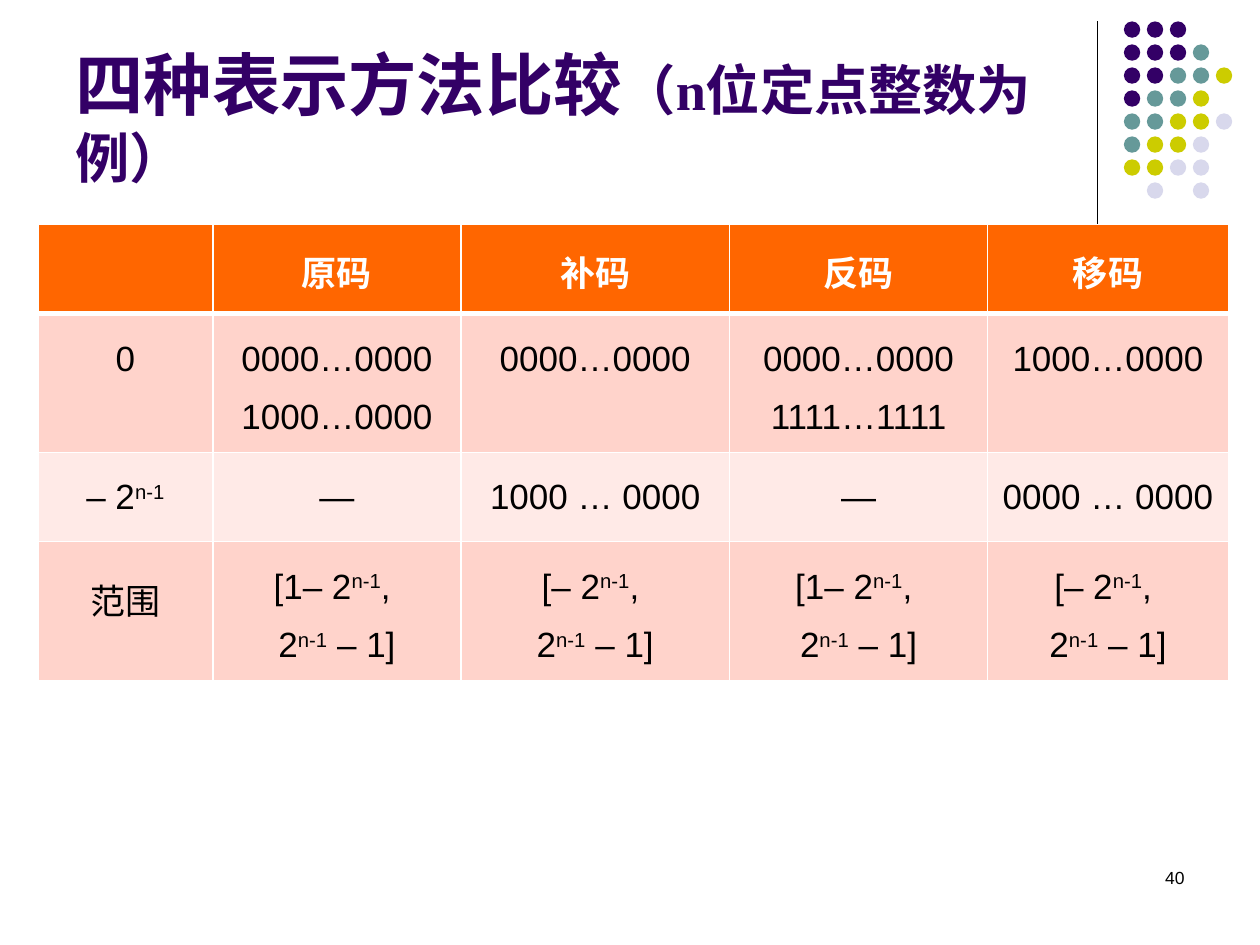
from dataclasses import dataclass

from lxml.etree import SubElement
from pptx import Presentation
from pptx.dml.color import RGBColor
from pptx.enum.shapes import MSO_CONNECTOR as CONN, MSO_SHAPE as SHAPE
from pptx.enum.text import MSO_ANCHOR as ANCHOR, PP_ALIGN as ALIGN
from pptx.oxml.ns import qn
from pptx.util import Inches, Pt

CJK = "Noto Sans CJK SC"
WHITE, BLACK, PURPLE = "FFFFFF", "000000", "330066"
DOT_COLORS = {"P": PURPLE, "T": "669999", "Y": "CCCC00", "L": "D8D8EC"}
DOT_ROWS = ["PPP", "PPPT", "PPTTY", "PTTY", "TTYYL", "TYYL", "YYLL", " L L"]
DOT_LEFT, DOT_TOP, DOT_SIZE, DOT_PITCH = 8.92, 0.17, 0.13, 0.73 / 4


@dataclass
class TextStyle:
    size: float
    name: str
    color: str
    bold: bool = False


@dataclass
class Row:
    height: float
    fill: str
    style: TextStyle
    spacing: float
    cells: list[str]
    top: float = 1
    bottom: float = 1


HEADER = TextStyle(20, CJK, WHITE, True)
BODY = TextStyle(20, "Arial", BLACK)
FULL_RANGE = "[– 2^n-1^, \v2^n-1^ – 1]"
SHORT_RANGE = "[1– 2^n-1^, \v2^n-1^ – 1]"
COLUMNS = [1.39, 1.97, 2.13, 2.05, 1.91]
ROWS = [
    Row(0.71, "FF6600", HEADER, 1.3, ["", "原码", "补码", "反码", "移码"], bottom=3),
    Row(1.1, "FFD3CB", BODY, 1.5,
        ["0", "0000…0000\n1000…0000", "0000…0000", "0000…0000\n1111…1111", "1000…0000"],
        top=3),
    Row(0.71, "FFEAE7", BODY, 1.5, ["– 2^n-1^", "—", "1000 … 0000", "—", "0000 … 0000"]),
    Row(1.1, "FFD3CB", BODY, 1.5,
        ["范围", SHORT_RANGE, FULL_RANGE, SHORT_RANGE, FULL_RANGE]),
]


def rgb(value: str) -> RGBColor:
    return RGBColor.from_string(value)


def add_run(p, text: str, style: TextStyle, raised: bool = False) -> None:
    r = p.add_run()
    r.text = text
    formats = {"size": Pt(style.size), "name": style.name, "bold": style.bold}
    for key, value in formats.items():
        setattr(r.font, key, value)
    r.font.color.rgb = rgb(style.color)
    rpr = r._r.get_or_add_rPr()
    SubElement(rpr, qn("a:ea")).set("typeface", CJK)
    if raised:
        rpr.set("baseline", "30000")


def add_marked_text(p, text: str, style: TextStyle) -> None:
    for i, line in enumerate(text.split("\v")):
        if i:
            p.add_line_break()
        for j, part in enumerate(line.split("^")):
            if part:
                add_run(p, part, style, raised=j % 2 == 1)


def set_borders(cell, row: Row) -> None:
    tcpr = cell._tc.get_or_add_tcPr()
    for side, width in {"L": 1, "R": 1, "T": row.top, "B": row.bottom}.items():
        ln = SubElement(tcpr, qn(f"a:ln{side}"), w=str(Pt(width)))
        fill = SubElement(ln, qn("a:solidFill"))
        SubElement(fill, qn("a:srgbClr"), val=WHITE)


def fill_cell(cell, text: str, row: Row) -> None:
    set_borders(cell, row)
    cell.fill.solid()
    cell.fill.fore_color.rgb = rgb(row.fill)
    tf = cell.text_frame
    for i, line in enumerate(text.split("\n")):
        p = tf.add_paragraph() if i else tf.paragraphs[0]
        p.alignment = ALIGN.CENTER
        p.line_spacing = row.spacing
        add_marked_text(p, line, row.style)


def add_divider(s) -> None:
    x = Inches(8.71)
    line = s.shapes.add_connector(CONN.STRAIGHT, x, Inches(0.17), x, Inches(1.83))
    line.line.color.rgb = rgb(BLACK)
    line.line.width = Pt(0.75)
    SubElement(line._element.spPr, qn("a:effectLst"))


def add_dots(s) -> None:
    group = s.shapes.add_group_shape()
    for i, codes in enumerate(DOT_ROWS):
        for j, code in enumerate(codes):
            if code == " ":
                continue
            dot = group.shapes.add_shape(
                SHAPE.OVAL, Inches(DOT_LEFT + j * DOT_PITCH), Inches(DOT_TOP + i * DOT_PITCH),
                Inches(DOT_SIZE), Inches(DOT_SIZE))
            dot.shadow.inherit = False
            dot.fill.solid()
            dot.fill.fore_color.rgb = rgb(DOT_COLORS[code])
            dot.line.fill.background()


def add_title(s) -> None:
    sp = s.shapes.title
    box = {"left": 0.5, "top": 0.13, "width": 8.25, "height": 1.42}
    for key, value in box.items():
        setattr(sp, key, Inches(value))
    tf = sp.text_frame
    tf.word_wrap = True
    tf.vertical_anchor = ANCHOR.BOTTOM
    p = tf.paragraphs[0]
    p.alignment = ALIGN.LEFT
    for text, size in [("四种表示方法比较", 39), ("（n位定点整数为例）", 31)]:
        add_run(p, text, TextStyle(size, "Times New Roman", PURPLE, True))


def add_comparison(s) -> None:
    table = s.shapes.add_table(
        len(ROWS), len(COLUMNS), Inches(0.3), Inches(1.78),
        Inches(sum(COLUMNS)), Inches(sum(row.height for row in ROWS))).table
    for column, width in zip(table.columns, COLUMNS):
        column.width = Inches(width)
    for i, row in enumerate(ROWS):
        table.rows[i].height = Inches(row.height)
        for j, text in enumerate(row.cells):
            fill_cell(table.cell(i, j), text, row)


def add_page_number(s) -> None:
    tf = s.shapes.add_textbox(Inches(7.17), Inches(6.83), Inches(2.33), Inches(0.5)).text_frame
    tf.word_wrap = True
    p = tf.paragraphs[0]
    p.alignment = ALIGN.RIGHT
    add_run(p, "40", TextStyle(10, "Arial", BLACK))


def main() -> None:
    prs = Presentation()
    prs.slide_width, prs.slide_height = Inches(10), Inches(7.5)
    s = prs.slides.add_slide(prs.slide_layouts[5])
    add_divider(s)
    add_dots(s)
    add_title(s)
    add_comparison(s)
    add_page_number(s)
    prs.save("out.pptx")


if __name__ == "__main__":
    main()
